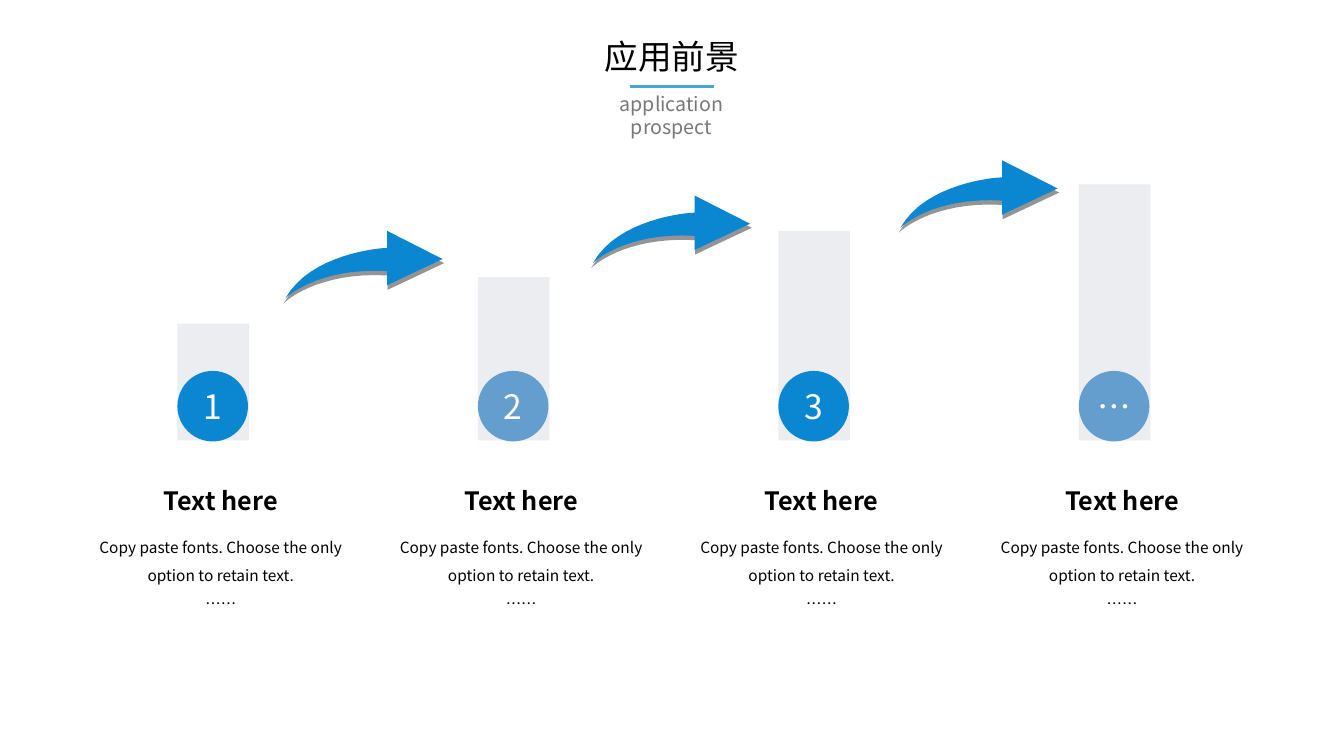
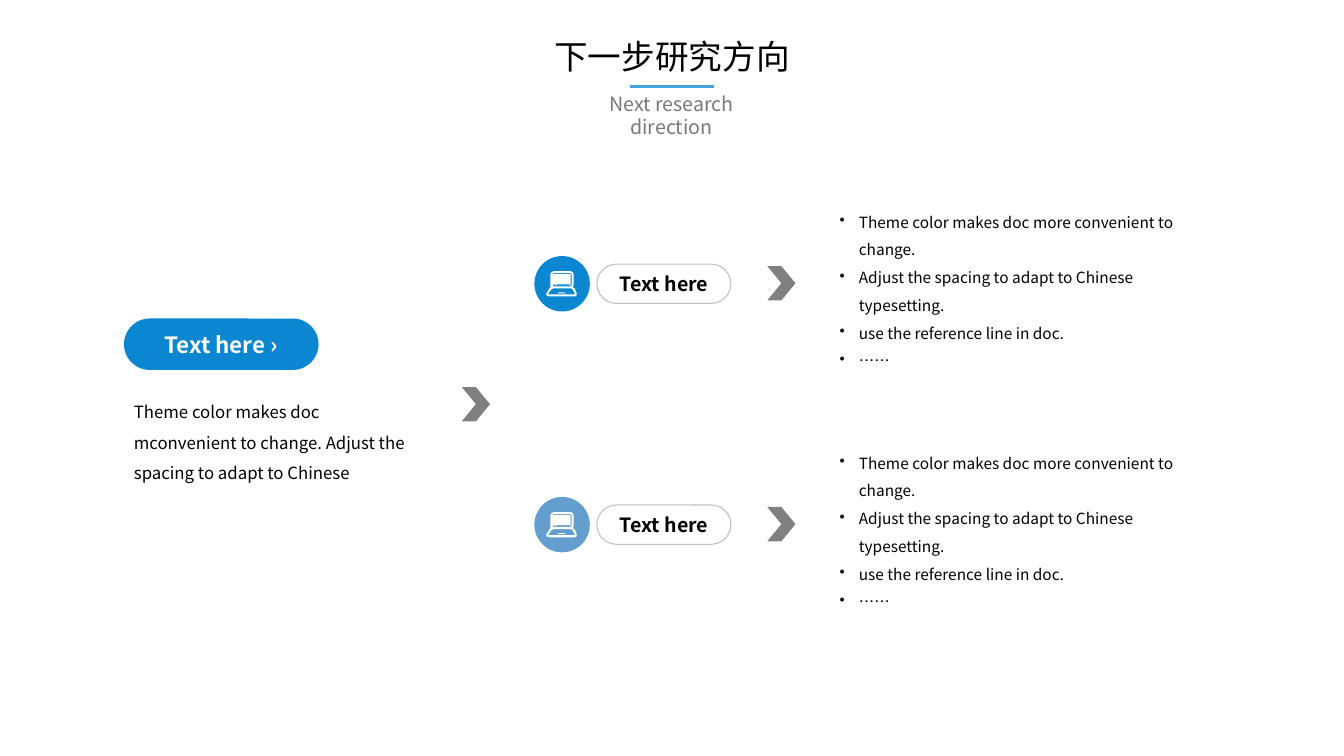
from pptx import Presentation
from pptx.dml.color import RGBColor
from pptx.enum.shapes import MSO_CONNECTOR, MSO_SHAPE
from pptx.enum.text import MSO_ANCHOR, PP_ALIGN
from pptx.oxml import parse_xml
from pptx.oxml.ns import nsdecls, qn
from pptx.util import Inches, Pt

RECTANGLE = MSO_SHAPE.RECTANGLE
ELLIPSE = MSO_SHAPE.OVAL
PILL = MSO_SHAPE.ROUNDED_RECTANGLE
CHEVRON = MSO_SHAPE.CHEVRON
STRAIGHT = MSO_CONNECTOR.STRAIGHT
LEFT, CENTER = PP_ALIGN.LEFT, PP_ALIGN.CENTER
TOP, MIDDLE = MSO_ANCHOR.TOP, MSO_ANCHOR.MIDDLE

FONT = "Noto Sans CJK SC"
BLACK, WHITE, GRAY = "000000", "FFFFFF", "808080"
BLUE, LIGHT_BLUE = "0A87D0", "639ECE"
RULE_BLUE, SUBTITLE_GRAY = "46A4DB", "787878"
BAR_GRAY, OUTLINE_GRAY = "E4E6EA", "BFBFBF"

SLIDE_WIDTH, SLIDE_HEIGHT = 13.33, 7.5
TITLE = {"size": 24, "align": CENTER}
SUBTITLE = {"size": 14, "color": SUBTITLE_GRAY, "align": CENTER}
NUMBER = {"size": 24, "color": WHITE, "align": CENTER, "anchor": MIDDLE, "margin": 0}
HEADING = {"size": 18, "bold": True, "align": CENTER, "anchor": MIDDLE}
CAPTION = {"size": 11, "align": CENTER, "spacing": 1.5}
SUMMARY = {"size": 12, "anchor": MIDDLE, "spacing": 1.5}
BUTTON = {"size": 16, "bold": True, "color": WHITE, "align": CENTER, "anchor": MIDDLE}
LABEL = {"size": 14, "bold": True, "align": CENTER, "anchor": MIDDLE}
BULLETS = {"size": 11, "spacing": 1.5, "bullet": "•"}

COLUMN_TEXT = ["Copy paste fonts. Choose the only option to retain text.", "……"]
BULLET_TEXT = [
    "Theme color makes doc more convenient to change.",
    "Adjust the spacing to adapt to Chinese typesetting.",
    "use the reference line in doc.",
    "……",
]
LAPTOP = [
    [(12, 21), (18, 21), (19, 22), (11, 22)],
    [(7, 17), (5, 18), (2, 22), (2, 23), (28, 23), (28, 22), (26, 18), (24, 17)],
    [(10, 13), (23, 13), (23, 14), (10, 14)],
    [(7, 13), (9, 13), (9, 14), (7, 14)],
    [(6, 3), (24, 3), (24, 14), (6, 14)],
    [(7, 2), (24, 2), (25, 3), (25, 14), (24, 15), (7, 15), (6, 14), (6, 3)],
    [(7, 0), (24, 0), (26, 1), (27, 3), (27, 14), (26, 16), (28, 17), (30, 22),
     (30, 24), (28, 25), (3, 25), (0, 24), (0, 22), (3, 17), (4, 16), (4, 3), (5, 1)],
]


def rgb(color):
    return RGBColor.from_string(color)


def box_inches(*lengths):
    return [Inches(length) for length in lengths]


def set_attributes(target, values):
    for name, value in values.items():
        setattr(target, name, value)


def write_text(shape, lines, style):
    frame = shape.text_frame
    set_attributes(frame, {"word_wrap": True, "vertical_anchor": style.get("anchor", TOP)})
    if "margin" in style:
        sides = ("left", "top", "right", "bottom")
        set_attributes(frame, {f"margin_{side}": Inches(style["margin"]) for side in sides})
    for index, line in enumerate(lines):
        paragraph = frame.add_paragraph() if index else frame.paragraphs[0]
        set_attributes(paragraph, {
            "alignment": style.get("align", LEFT),
            "line_spacing": style.get("spacing"),
        })
        run = paragraph.add_run()
        run.text = line
        set_attributes(run.font, {
            "size": Pt(style["size"]),
            "bold": style.get("bold", False),
            "name": FONT,
        })
        run.font.color.rgb = rgb(style.get("color", BLACK))
        run._r.get_or_add_rPr().append(
            parse_xml(f'<a:ea {nsdecls("a")} typeface="{FONT}"/>'))
        if "bullet" in style:
            properties = paragraph._p.get_or_add_pPr()
            properties.set("marL", str(Inches(0.19)))
            properties.set("indent", str(-Inches(0.19)))
            properties.append(
                parse_xml(f'<a:buChar {nsdecls("a")} char="{style["bullet"]}"/>'))


def add_text(shapes, box, lines, style):
    write_text(shapes.add_textbox(*box_inches(*box)), lines, style)


def paint(shape, fill=None, line=None):
    shape.shadow.inherit = False
    if fill:
        shape.fill.solid()
        shape.fill.fore_color.rgb = rgb(fill)
    else:
        shape.fill.background()
    if line:
        shape.line.color.rgb = rgb(line)
        shape.line.width = Pt(0.75)
    else:
        shape.line.fill.background()


def add_preset(shapes, kind, box, fill=None, line=None):
    shape = shapes.add_shape(kind, *box_inches(*box))
    paint(shape, fill, line)
    return shape


def add_pill(shapes, box, text, style, fill=None, line=None):
    pill = add_preset(shapes, PILL, box, fill, line)
    pill.adjustments[0] = 0.5
    write_text(pill, [text], style)


def add_outline(shapes, left, top, contours, fill):
    scaled = [[(x * 10, y * 10) for x, y in contour] for contour in contours]
    builder = shapes.build_freeform(*scaled[0][0], scale=Inches(0.001))
    for index, contour in enumerate(scaled):
        if index:
            builder.move_to(*contour[0])
        builder.add_line_segments(contour[1:], close=True)
    shape = builder.convert_to_shape(*box_inches(left, top))
    paint(shape, fill)
    return shape


def curve(start, first, second, end, steps=16):
    points = []
    for step in range(steps + 1):
        t = step / steps
        weights = ((1 - t) ** 3, 3 * t * (1 - t) ** 2, 3 * t * t * (1 - t), t ** 3)
        corners = (start, first, second, end)
        points.append(tuple(
            sum(weight * corner[axis] for weight, corner in zip(weights, corners))
            for axis in (0, 1)))
    return points


def add_swoosh(shapes, left, top):
    contour = [(156, 28), (101, 0)]
    contour += curve((101, 17), (93, 17), (25, 23), (0, 67))
    contour += curve((0, 67), (0, 67), (31, 36), (101, 40))[1:]
    contour += [(101, 54)]
    swoosh = add_outline(shapes, left, top, [contour], BLUE)
    effects = swoosh._element.spPr.find(qn("a:effectLst"))
    effects.append(parse_xml(
        f'<a:outerShdw {nsdecls("a")} blurRad="0" dist="{Pt(3)}" dir="5400000" '
        f'sx="102000" sy="102000" algn="ctr" rotWithShape="0">'
        f'<a:srgbClr val="{GRAY}"><a:alpha val="84000"/></a:srgbClr></a:outerShdw>'))


def add_header(slide, title, subtitle):
    center = SLIDE_WIDTH / 2
    add_text(slide.shapes, (center - 1.35, 0.31, 2.7, 0.5), [title], TITLE)
    rule = slide.shapes.add_connector(
        STRAIGHT, *box_inches(center - 0.42, 0.86, center + 0.42, 0.86))
    rule.line.color.rgb = rgb(RULE_BLUE)
    rule.line.width = Pt(2.25)
    rule._element.spPr.append(parse_xml(f'<a:effectLst {nsdecls("a")}/>'))
    add_text(slide.shapes, (center - 0.92, 0.86, 1.83, 0.34), [subtitle], SUBTITLE)


def add_column(slide, left, bottom, bar_height, number, color):
    shapes = slide.shapes.add_group_shape().shapes
    bar_left = left + 0.99
    bar = add_preset(
        shapes, RECTANGLE, (bar_left, bottom - bar_height, 0.71, bar_height), BAR_GRAY)
    bar_color = bar._element.spPr.find(qn("a:solidFill"))[0]
    bar_color.append(parse_xml(f'<a:alpha {nsdecls("a")} val="70000"/>'))
    circle = add_preset(shapes, ELLIPSE, (bar_left, bottom - 0.69, 0.7, 0.7), color)
    write_text(circle, [number], NUMBER)
    add_text(shapes, (left, bottom + 0.35, 2.84, 0.48), ["Text here"], HEADING)
    add_text(shapes, (left, bottom + 0.83, 2.84, 1.07), COLUMN_TEXT, CAPTION)


def add_chevron(slide, left, top):
    add_preset(slide.shapes, CHEVRON, (left, top, 0.28, 0.34), GRAY)


def add_direction(slide, left, top, color):
    badge = slide.shapes.add_group_shape().shapes
    add_preset(badge, ELLIPSE, (left, top, 0.55, 0.55), color)
    add_outline(badge, left + 0.12, top + 0.15, LAPTOP, WHITE)
    add_pill(slide.shapes, (left + 0.62, top + 0.08, 1.33, 0.39), "Text here", LABEL,
             line=OUTLINE_GRAY)
    add_chevron(slide, left + 2.31, top + 0.1)
    add_text(slide.shapes, (left + 2.93, top - 0.57, 3.6, 1.81), BULLET_TEXT, BULLETS)


def add_summary(slide, left, top):
    add_pill(slide.shapes, (left, top, 1.93, 0.51), "Text here ›", BUTTON, fill=BLUE)
    add_text(slide.shapes, (left, top + 0.61, 3.07, 1.14),
             ["Theme color makes doc mconvenient to change. "
              "Adjust the spacing to adapt to Chinese"], SUMMARY)


def build_prospect(slide):
    add_header(slide, "应用前景", "application prospect")
    for index, number in enumerate(["1", "2", "3", "…"]):
        color = LIGHT_BLUE if index % 2 else BLUE
        add_column(slide, 0.77 + 2.98 * index, 4.37, 1.16 + 0.46 * index, number, color)
    for index in range(3):
        add_swoosh(slide.shapes, 2.83 + 3.05 * index, 2.29 - 0.35 * index)


def build_directions(slide):
    add_header(slide, "下一步研究方向", "Next research direction")
    add_summary(slide, 1.23, 3.16)
    add_chevron(slide, 4.58, 3.84)
    for index, color in enumerate([BLUE, LIGHT_BLUE]):
        add_direction(slide, 5.3, 2.54 + 2.39 * index, color)


def main():
    presentation = Presentation()
    set_attributes(presentation, {
        "slide_width": Inches(SLIDE_WIDTH),
        "slide_height": Inches(SLIDE_HEIGHT),
    })
    for build in (build_prospect, build_directions):
        build(presentation.slides.add_slide(presentation.slide_layouts[6]))
    presentation.save("out.pptx")


if __name__ == "__main__":
    main()
